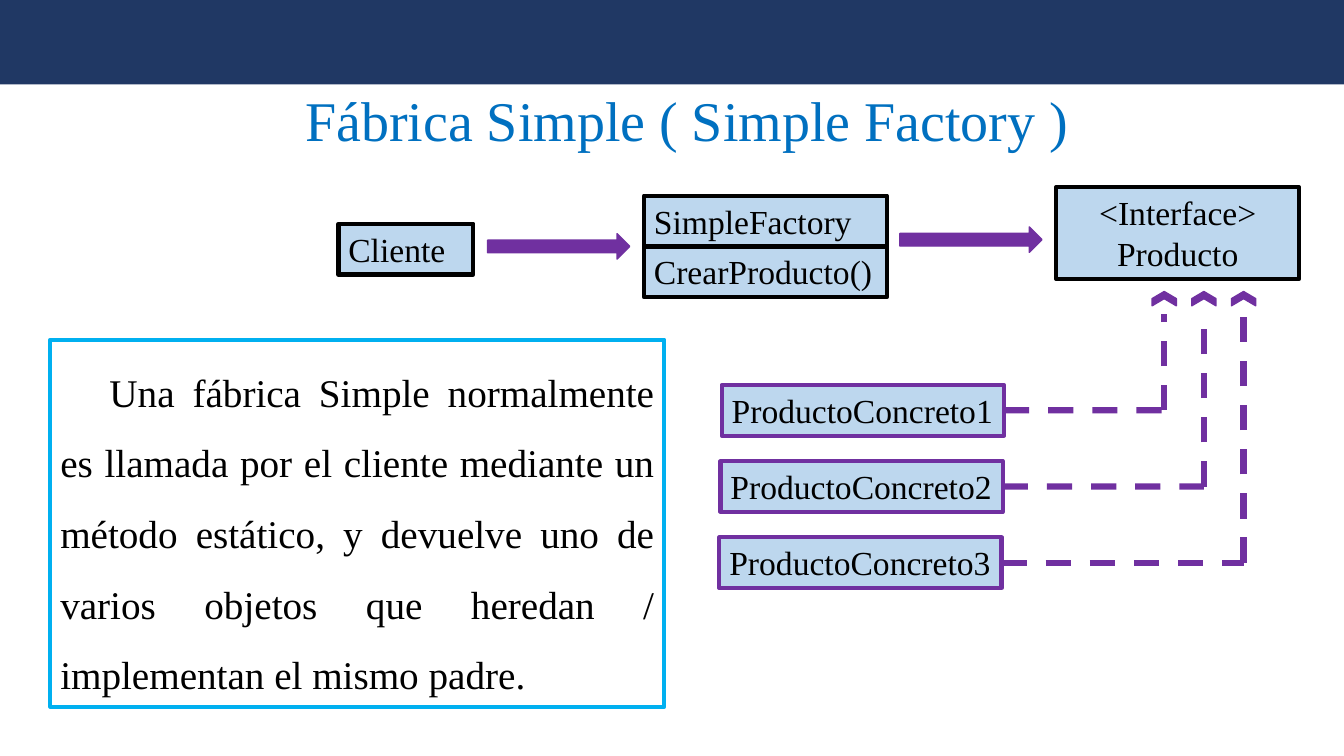
from lxml import etree
from pptx import Presentation
from pptx import util as u
from pptx.dml.color import RGBColor
from pptx.enum import dml, shapes, text
from pptx.oxml.ns import qn

COLORS = {"navy": "203864", "title": "0070C0", "cyan": "00B0F0",
          "box": "BDD7EE", "purple": "7030A0", "black": "000000"}
FONT = "Times New Roman"


def rgb(name):
    """Return the named colour."""
    return RGBColor.from_string(COLORS[name])


def place(sp, x, y, w, h):
    """Put a shape in a box given in centimetres."""
    sp.left, sp.top, sp.width, sp.height = u.Cm(x), u.Cm(y), u.Cm(w), u.Cm(h)


def style(p, size, color, align=text.PP_ALIGN.LEFT):
    """Format a paragraph."""
    p.font.name, p.font.size = FONT, u.Pt(size)
    p.font.color.rgb = rgb(color)
    p.alignment = align


def add_box(s, x, y, w, h, lines, line="black", fill="box", size=24,
            align=text.PP_ALIGN.LEFT):
    """Add a bordered text box with one paragraph per line."""
    sp = s.shapes.add_textbox(u.Cm(x), u.Cm(y), u.Cm(w), u.Cm(h))
    if fill:
        sp.fill.solid()
        sp.fill.fore_color.rgb = rgb(fill)
    sp.line.color.rgb, sp.line.width = rgb(line), u.Pt(3)
    tf = sp.text_frame
    tf.word_wrap, tf.auto_size = True, text.MSO_AUTO_SIZE.SHAPE_TO_FIT_TEXT
    tf.text = "\n".join(lines)
    for p in tf.paragraphs:
        style(p, size, "black", align)
    return sp


def add_solid(s, kind, x, y, w, h, color, outlined=True):
    """Add a preset shape in a single colour."""
    sp = s.shapes.add_shape(kind, u.Cm(x), u.Cm(y), u.Cm(w), u.Cm(h))
    sp.shadow.inherit = False
    sp.fill.solid()
    sp.fill.fore_color.rgb = rgb(color)
    if outlined:
        sp.line.color.rgb, sp.line.width = rgb(color), u.Pt(1)
    else:
        sp.line.fill.background()
    return sp


def add_dashed(s, x1, y1, x2, y2):
    """Add a dashed purple line."""
    line = s.shapes.add_connector(shapes.MSO_CONNECTOR.STRAIGHT,
                                  u.Cm(x1), u.Cm(y1), u.Cm(x2), u.Cm(y2))
    line.line.color.rgb, line.line.width = rgb("purple"), u.Pt(4.5)
    line.line.dash_style = dml.MSO_LINE.DASH
    etree.SubElement(line._element.spPr, qn("a:effectLst"))
    return line


def add_header(s, w, h):
    """Build the top band and the title below it."""
    add_solid(s, shapes.MSO_SHAPE.RECTANGLE, 0, 0, w, h, "navy", outlined=False)
    title = s.shapes.title
    place(title, 7.44, h - 0.1, 19.96, 1.96)
    tf = title.text_frame
    tf.text = "Fábrica Simple ( Simple Factory )"
    tf.word_wrap, tf.auto_size = False, text.MSO_AUTO_SIZE.SHAPE_TO_FIT_TEXT
    tf.vertical_anchor = text.MSO_ANCHOR.TOP
    style(tf.paragraphs[0], 40, "title")


def add_description(s, x, y, w, h):
    """Build the framed explanation."""
    sp = add_box(s, x, y, w, h, [
        "Una fábrica Simple normalmente es llamada por el cliente mediante un "
        "método estático, y devuelve uno de varios objetos que heredan / "
        "implementan el mismo padre."], "cyan", None, 28, text.PP_ALIGN.JUSTIFY)
    p = sp.text_frame.paragraphs[0]
    p.line_spacing, p.space_after = 1.5, u.Pt(8)
    p._p.get_or_add_pPr().set("indent", str(u.Cm(1.24)))


def add_flow(s, x, y):
    """Build the client, factory and interface row."""
    row = 1.28
    add_box(s, x, y + 0.92, 3.4, row, ["Cliente"])
    for i, label in enumerate(["SimpleFactory", "CrearProducto()"]):
        add_box(s, x + 7.7, y + 0.21 + i * row, 6.12, row, [label])
    add_box(s, x + 18.09, y, 6.12, 2.31, ["<Interface>", "Producto"],
            align=text.PP_ALIGN.CENTER)
    for dx, dy in [(3.76, 1.17), (14.15, 1)]:
        add_solid(s, shapes.MSO_SHAPE.RIGHT_ARROW, x + dx, y + dy, 3.58, 0.64,
                  "purple")


def add_products(s, x, y, w, h):
    """Build the concrete products and their dashed paths to the interface."""
    for i, end in enumerate([7.92, 7.92, 7.49]):
        left, top, lane = x - 0.03 * i, y + 1.92 * i, x + 11.15 + i
        mid = top + h / 2
        sp = add_box(s, left, top, w, h, [f"ProductoConcreto{i + 1}"], "purple")
        add_dashed(s, left + w, mid, lane, mid).begin_connect(sp, 3)
        add_dashed(s, lane, mid, lane, end)
        tip = add_solid(s, shapes.MSO_SHAPE.CHEVRON, lane - 0.18, 7.22, 0.36,
                        0.61, "purple")
        tip.rotation = 270


def main():
    """Build and save the slide."""
    prs = Presentation()
    prs.slide_width, prs.slide_height = u.Cm(33.87), u.Cm(19.05)
    s = prs.slides.add_slide(prs.slide_layouts[5])
    add_header(s, 33.87, 2.13)
    add_description(s, 1.27, 8.56, 15.47, 9.25)
    add_flow(s, 8.53, 4.72)
    add_products(s, 18.19, 9.7, 7.11, 1.28)
    prs.save("out.pptx")


if __name__ == "__main__":
    main()
